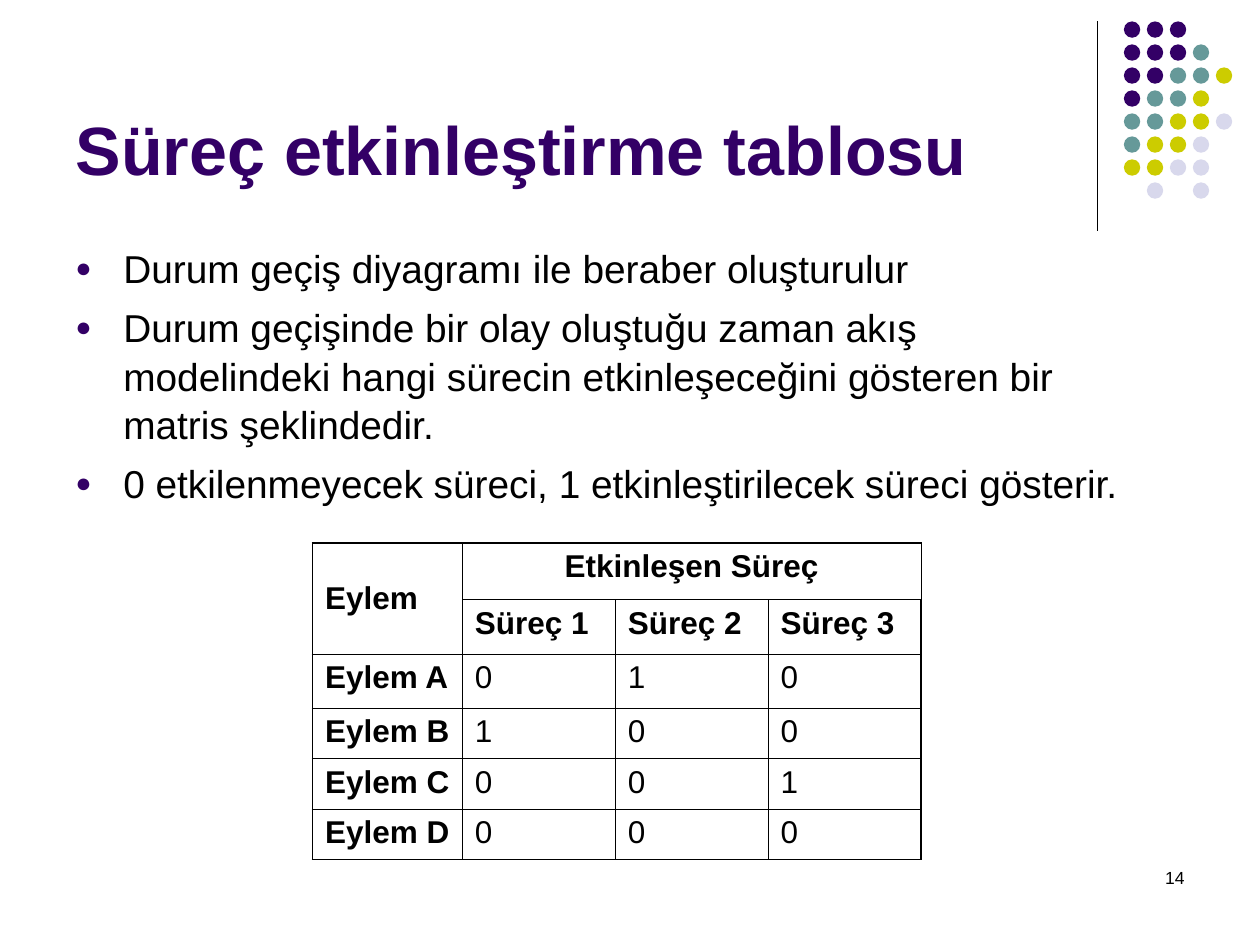
from lxml import etree
from pptx import Presentation
from pptx import util as u
from pptx.dml.color import RGBColor
from pptx.enum import shapes, text
from pptx.oxml import ns

COLORS = {"ink": "000000", "P": "330066", "T": "669999", "Y": "CCCC00", "L": "D8D8EC"}
DOTS = ["PPP", "PPPT", "PPTTY", "PTTY", "TTYYL", "TYYL", "YYLL", " L L"]
BULLETS = [
    "Durum geçiş diyagramı ile beraber oluşturulur",
    "Durum geçişinde bir olay oluştuğu zaman akış modelindeki hangi sürecin "
    "etkinleşeceğini gösteren bir matris şeklindedir.",
    "0 etkilenmeyecek süreci, 1 etkinleştirilecek süreci gösterir.",
]
ROWS = [
    ["Eylem", "Etkinleşen Süreç", "", ""],
    ["", "Süreç 1", "Süreç 2", "Süreç 3"],
    ["Eylem A", "0", "1", "0"],
    ["Eylem B", "1", "0", "0"],
    ["Eylem C", "0", "0", "1"],
    ["Eylem D", "0", "0", "0"],
]
ROW_HEIGHTS = [0.45, 0.43, 0.43, 0.4, 0.4, 0.4]


def color(name):
    """Return the named colour."""
    return RGBColor.from_string(COLORS[name])


def child(parent, tag, **values):
    """Append a drawing element with the given attributes."""
    return etree.SubElement(parent, ns.qn(f"a:{tag}"), values)


class SlideBuilder:
    """Hold the text style and the current slide."""

    def __init__(self, slide, font="Arial"):
        """Keep the slide and its font name."""
        self.slide = slide
        self.font = font

    def add_words(self, para, words, size, name="ink", bold=False, **layout):
        """Add one formatted span to a paragraph."""
        span = para.add_run()
        span.text = words
        values = {"name": self.font, "size": u.Pt(size), "bold": bold}
        for key, value in values.items():
            setattr(span.font, key, value)
        span.font.color.rgb = color(name)
        for key, value in layout.items():
            setattr(para, key, value)

    def title(self, words, left, top, width, height):
        """Place and fill the title placeholder."""
        box = self.slide.shapes.title
        place = {"left": left, "top": top, "width": width, "height": height}
        for key, value in place.items():
            setattr(box, key, u.Inches(value))
        frame = box.text_frame
        frame.word_wrap = True
        frame.auto_size = text.MSO_AUTO_SIZE.NONE
        frame.vertical_anchor = text.MSO_ANCHOR.BOTTOM
        self.add_words(frame.paragraphs[0], words, 39, "P", True,
                       alignment=text.PP_ALIGN.LEFT)

    def text_box(self, *place):
        """Add a wrapping text box and return its frame."""
        frame = self.slide.shapes.add_textbox(*map(u.Inches, place)).text_frame
        frame.word_wrap = True
        return frame

    def bullets(self, lines, *place):
        """Add a bulleted list."""
        frame = self.text_box(*place)
        for index, words in enumerate(lines):
            para = frame.add_paragraph() if index else frame.paragraphs[0]
            props = para._p.get_or_add_pPr()
            props.set("marL", str(u.Inches(0.38)))
            props.set("indent", str(u.Inches(-0.38)))
            child(child(props, "buClr"), "srgbClr", val=COLORS["P"])
            child(props, "buSzPct", val="70000")
            child(props, "buFont", typeface=self.font)
            child(props, "buChar", char="●")
            self.add_words(para, words, 22.2, line_spacing=1.04,
                           space_before=u.Pt(6 if index else 0))

    def number(self, words, *place):
        """Add the slide number."""
        self.add_words(self.text_box(*place).paragraphs[0], words, 10,
                       alignment=text.PP_ALIGN.RIGHT)

    def rule(self, *ends):
        """Add a thin straight line."""
        line = self.slide.shapes.add_connector(
            shapes.MSO_CONNECTOR.STRAIGHT, *map(u.Inches, ends))
        line.line.color.rgb = color("ink")
        line.line.width = u.Pt(0.75)
        child(line._element.spPr, "effectLst")

    def dots(self, pattern, left, top, right, size):
        """Add a grid of coloured dots, the last column starting at right."""
        pitch = (right - left) / (max(map(len, pattern)) - 1)
        for row, names in enumerate(pattern):
            for column, name in enumerate(names):
                if name == " ":
                    continue
                place = left + column * pitch, top + row * pitch, size, size
                dot = self.slide.shapes.add_shape(
                    shapes.MSO_SHAPE.OVAL, *map(u.Inches, place))
                dot.shadow.inherit = False
                dot.fill.solid()
                dot.fill.fore_color.rgb = color(name)
                dot.line.fill.background()

    def borders(self, cell, outer):
        """Draw the cell borders, heavier on the outer sides."""
        props = cell._tc.get_or_add_tcPr()
        for index, side in enumerate("LRTB"):
            width = u.Pt(1.08 if side in outer else 0.45)
            line = child(props, f"ln{side}", w=str(width))
            child(child(line, "solidFill"), "srgbClr", val=COLORS["ink"])
            props.insert(index, line)

    def table(self, rows, heights, left, top, width, first_width):
        """Add the activation table with its merged headings."""
        count = len(rows[0])
        place = left, top, width, sum(heights)
        grid = self.slide.shapes.add_table(
            len(rows), count, *map(u.Inches, place)).table
        grid.first_row = grid.horz_banding = False
        for index, column in enumerate(grid.columns):
            rest = (width - first_width) / (count - 1)
            column.width = u.Inches(rest if index else first_width)
        for row, height in zip(grid.rows, heights):
            row.height = u.Inches(height)
        grid.cell(0, 0).merge(grid.cell(1, 0))
        grid.cell(0, 1).merge(grid.cell(0, count - 1))
        for r, row in enumerate(rows):
            for c, words in enumerate(row):
                cell = grid.cell(r, c)
                cell.fill.background()
                edges = {"L": c == 0, "R": c == count - 1,
                         "T": r == 0, "B": r == len(rows) - 1}
                self.borders(cell, [side for side in edges if edges[side]])
                cell.margin_left = cell.margin_right = u.Inches(0.1)
                if words:
                    self.add_words(cell.text_frame.paragraphs[0], words, 18,
                                   bold=r < 2 or c == 0)
        grid.cell(0, 0).vertical_anchor = text.MSO_ANCHOR.MIDDLE
        heading = grid.cell(0, 1).text_frame.paragraphs[0]
        heading.alignment = text.PP_ALIGN.CENTER


def main():
    """Build and save the deck."""
    deck = Presentation()
    deck.slide_width, deck.slide_height = u.Inches(10), u.Inches(7.5)
    page = SlideBuilder(deck.slides.add_slide(deck.slide_layouts[5]))
    page.rule(8.71, 0.17, 8.71, 1.83)
    page.dots(DOTS, 8.92, 0.17, 9.65, 0.13)
    page.number("14", 7.17, 6.83, 2.33, 0.5)
    page.title("Süreç etkinleştirme tablosu", 0.5, 0.13, 8.25, 1.42)
    page.bullets(BULLETS, 0.5, 1.88, 8.52, 2.34)
    page.table(ROWS, ROW_HEIGHTS, 2.48, 4.31, 4.83, 1.19)
    deck.save("out.pptx")


if __name__ == "__main__":
    main()
